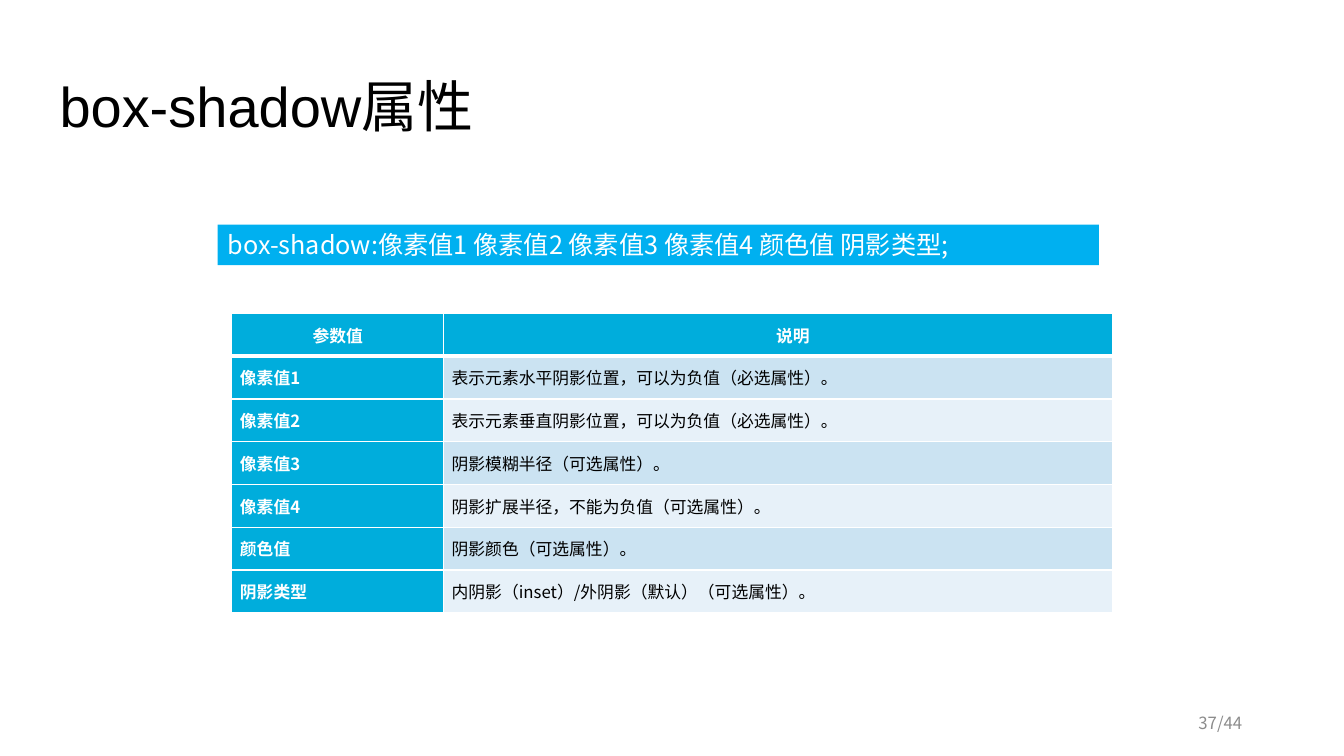
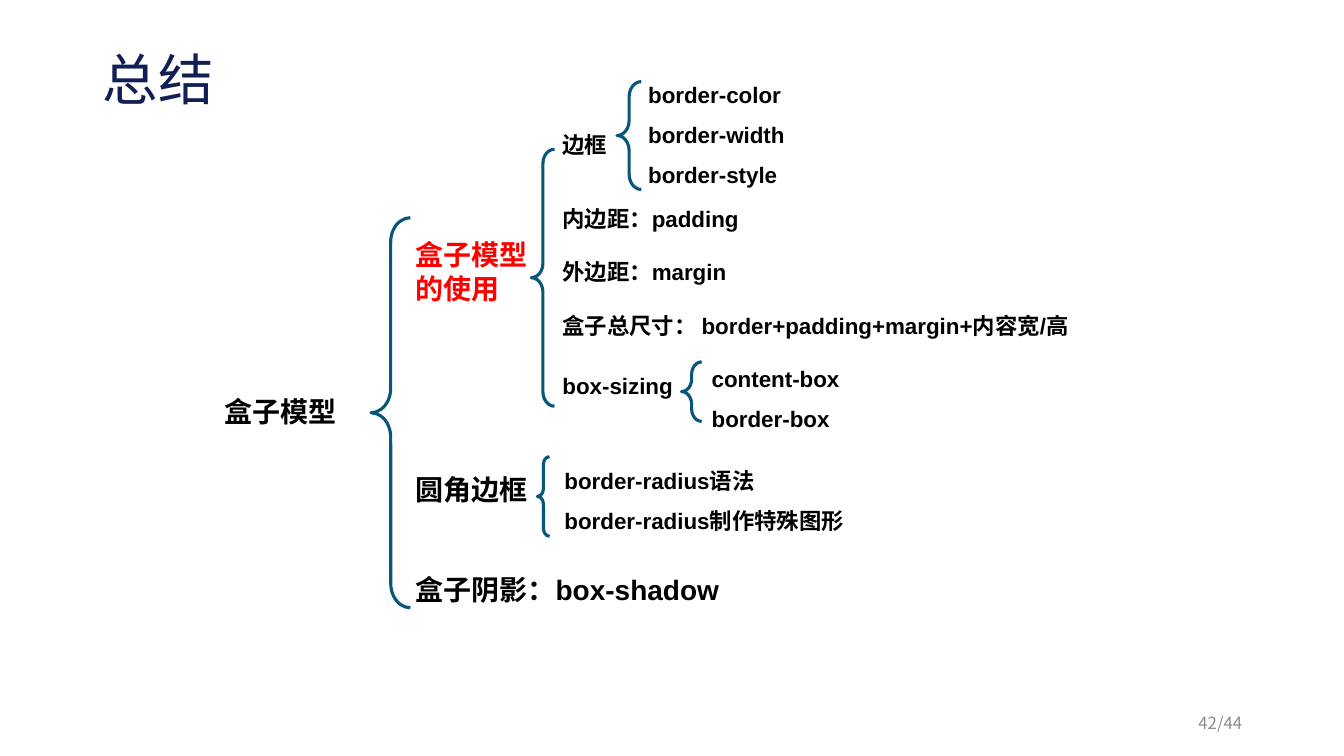
"""Build two slides on the CSS box model: box-shadow and a summary."""
from pptx import Presentation
from pptx.dml.color import RGBColor
from pptx.enum import shapes, text
from pptx.oxml import parse_xml
from pptx.oxml.ns import nsdecls, qn
from pptx.util import Inches, Pt

BLACK = RGBColor(0x00, 0x00, 0x00)
WHITE = RGBColor(0xFF, 0xFF, 0xFF)
RED = RGBColor(0xFF, 0x00, 0x00)
NAVY = RGBColor(0x12, 0x1F, 0x55)
GREY = RGBColor(0x8C, 0x8C, 0x8C)
BRACE = RGBColor(0x08, 0x57, 0x7A)
SYNTAX = RGBColor(0x00, 0xB0, 0xF0)
HEADER = RGBColor(0x00, 0xAD, 0xDC)
BANDS = (RGBColor(0xCB, 0xE3, 0xF2), RGBColor(0xE7, 0xF1, 0xF9))
LATIN_FONT = "Arial"
CJK_FONT = "Noto Sans CJK SC"
ALIGN = text.PP_ALIGN
ANCHOR = text.MSO_ANCHOR

PARAMETERS = (
    ("参数值", "说明"),
    ("像素值1", "表示元素水平阴影位置，可以为负值（必选属性）。"),
    ("像素值2", "表示元素垂直阴影位置，可以为负值（必选属性）。"),
    ("像素值3", "阴影模糊半径（可选属性）。"),
    ("像素值4", "阴影扩展半径，不能为负值（可选属性）。"),
    ("颜色值", "阴影颜色（可选属性）。"),
    ("阴影类型", "内阴影（inset）/外阴影（默认）（可选属性）。"),
)
BRACES = (
    (3.68, 2.16, 0.39, 3.87),
    (5.27, 1.48, 0.23, 2.55),
    (6.12, 0.81, 0.24, 1.07),
    (6.76, 3.59, 0.2, 0.59),
    (5.33, 4.53, 0.12, 0.79),
)
TOPICS = (
    ("盒子模型", RED, 0),
    ("的使用", RED, 0),
    ("圆角边框", BLACK, 120),
    ("盒子阴影：box-shadow", BLACK, 47),
)
MODEL_PARTS = (
    ("边框", BLACK, 0),
    ("内边距：padding", BLACK, 33.5),
    ("外边距：margin", BLACK, 19),
    ("盒子总尺寸： border+padding+margin+内容宽/高", BLACK, 19),
    ("box-sizing", BLACK, 24),
)
DETAILS = (
    ((6.33, 0.62, 2.22, 1.31), ("border-color", "border-width", "border-style")),
    ((6.96, 3.44, 2.55, 0.91), ("content-box", "border-box")),
    ((5.5, 4.45, 3.21, 0.91), ("border-radius语法", "border-radius制作特殊图形")),
)


def inches(box):
    """Turn a box of numbers into lengths."""
    return [Inches(value) for value in box]


def write(paragraph, words, size, color, font=LATIN_FONT, bold=False,
          align=ALIGN.LEFT, spacing=None, before=0):
    """Add one formatted run to a paragraph."""
    paragraph.alignment = align
    paragraph.space_before = Pt(before)
    if spacing:
        paragraph.line_spacing = spacing
    run = paragraph.add_run()
    run.text = words
    run.font.name = font
    run.font.size = Pt(size)
    run.font.bold = bold
    run.font.color.rgb = color
    if font == CJK_FONT:
        east_asian = run.font._element.makeelement(qn("a:ea"), {"typeface": font})
        run.font._element.find(qn("a:latin")).addnext(east_asian)


def add_title(slide, box, words, size, color, spacing, anchor):
    """Place and format the title placeholder."""
    title = slide.shapes.title
    title.left, title.top, title.width, title.height = inches(box)
    frame = title.text_frame
    frame.word_wrap = True
    frame.auto_size = text.MSO_AUTO_SIZE.NONE
    frame.vertical_anchor = anchor
    write(frame.paragraphs[0], words, size, color, spacing=spacing)


def add_lines(slide, box, lines, size, anchor=ANCHOR.TOP, **style):
    """Add a text box with lines of words, colour and space before."""
    frame = slide.shapes.add_textbox(*inches(box)).text_frame
    frame.word_wrap = True
    frame.vertical_anchor = anchor
    for index, (words, color, before) in enumerate(lines):
        paragraph = frame.add_paragraph() if index else frame.paragraphs[0]
        write(paragraph, words, size, color, before=before, **style)


def add_page_number(slide, words):
    """Add the page number at the lower right."""
    add_lines(slide, (9.42, 6.95, 3, 0.4), [(words, GREY, 0)], 12, ANCHOR.MIDDLE,
              font=CJK_FONT, align=ALIGN.RIGHT, spacing=1.2)


def add_syntax_bar(slide, box, words):
    """Add the filled bar that shows the syntax."""
    bar = slide.shapes.add_shape(shapes.MSO_SHAPE.RECTANGLE, *inches(box))
    bar.shadow.inherit = False
    bar.fill.solid()
    bar.fill.fore_color.rgb = SYNTAX
    bar.line.fill.background()
    frame = bar.text_frame
    frame.word_wrap = True
    frame.vertical_anchor = ANCHOR.MIDDLE
    write(frame.paragraphs[0], words, 18, WHITE, CJK_FONT)


def set_borders(cell, top, bottom):
    """Draw white cell borders with the given top and bottom widths."""
    for side, width in (("L", 1), ("R", 1), ("T", top), ("B", bottom)):
        cell._tc.get_or_add_tcPr().append(parse_xml(
            f'<a:ln{side} {nsdecls("a")} w="{Pt(width)}"><a:solidFill>'
            f'<a:srgbClr val="{WHITE}"/></a:solidFill></a:ln{side}>'))


def add_parameter_table(slide, box, rows, first_width):
    """Add the table of parameters with a header row and column."""
    left, top, width, height = box
    table = slide.shapes.add_table(len(rows), 2, *inches(box)).table
    for column, size in zip(table.columns, (first_width, width - first_width)):
        column.width = Inches(size)
    for row_index, row in enumerate(rows):
        table.rows[row_index].height = Inches(height / len(rows))
        for column_index, words in enumerate(row):
            cell = table.cell(row_index, column_index)
            is_header = row_index == 0
            strong = is_header or column_index == 0
            set_borders(cell, 3 if row_index == 1 else 1, 3 if is_header else 1)
            cell.fill.solid()
            cell.fill.fore_color.rgb = HEADER if strong else BANDS[(row_index - 1) % 2]
            cell.vertical_anchor = ANCHOR.MIDDLE
            cell.margin_left = cell.margin_right = Inches(0.08)
            cell.margin_top = cell.margin_bottom = 0
            paragraph = cell.text_frame.paragraphs[0]
            align = ALIGN.CENTER if is_header else ALIGN.JUSTIFY if strong else ALIGN.LEFT
            write(paragraph, words, 12, WHITE if strong else BLACK, CJK_FONT, strong, align)
            if is_header and column_index:
                paragraph._p.get_or_add_pPr().set("indent", str(Inches(0.29)))


def add_brace(slide, box):
    """Add a left brace of the summary tree."""
    brace = slide.shapes.add_shape(shapes.MSO_SHAPE.LEFT_BRACE, *inches(box))
    brace.shadow.inherit = False
    brace.adjustments[0] = 0.62
    brace.fill.background()
    brace.line.color.rgb = BRACE
    brace.line.width = Pt(2.25)


def build_shadow_slide(slide):
    """Fill the slide on the box-shadow property."""
    add_title(slide, (0.49, 0.33, 6.57, 1.11), "box-shadow属性", 40, BLACK, 1.5, ANCHOR.TOP)
    add_syntax_bar(slide, (2.16, 2.23, 8.74, 0.4),
                   "box-shadow:像素值1 像素值2 像素值3 像素值4 颜色值 阴影类型;")
    add_parameter_table(slide, (2.3, 3.11, 8.74, 2.97), PARAMETERS, 2.1)
    add_page_number(slide, "37/44")


def build_summary_slide(slide):
    """Fill the summary slide with its tree of topics."""
    add_title(slide, (0.92, 0.39, 2.24, 0.64), "总结", 39.6, NAVY, 1.2, ANCHOR.MIDDLE)
    for box in BRACES:
        add_brace(slide, box)
    add_lines(slide, (1.79, 3.86, 1.99, 0.44), [("盒子模型", BLACK, 0)], 20,
              bold=True, align=ALIGN.CENTER)
    add_lines(slide, (4.02, 2.31, 5.48, 3.8), TOPICS, 20, bold=True)
    add_lines(slide, (5.48, 1.25, 5.44, 2.79), MODEL_PARTS, 16, bold=True)
    for box, names in DETAILS:
        add_lines(slide, box, [(name, BLACK, 0) for name in names], 16,
                  bold=True, spacing=1.5)
    add_page_number(slide, "42/44")


def main():
    """Build and save the presentation."""
    presentation = Presentation()
    presentation.slide_width = Inches(13.33)
    presentation.slide_height = Inches(7.5)
    title_only = presentation.slide_layouts[5]
    for build in (build_shadow_slide, build_summary_slide):
        build(presentation.slides.add_slide(title_only))
    presentation.save("out.pptx")


if __name__ == "__main__":
    main()
